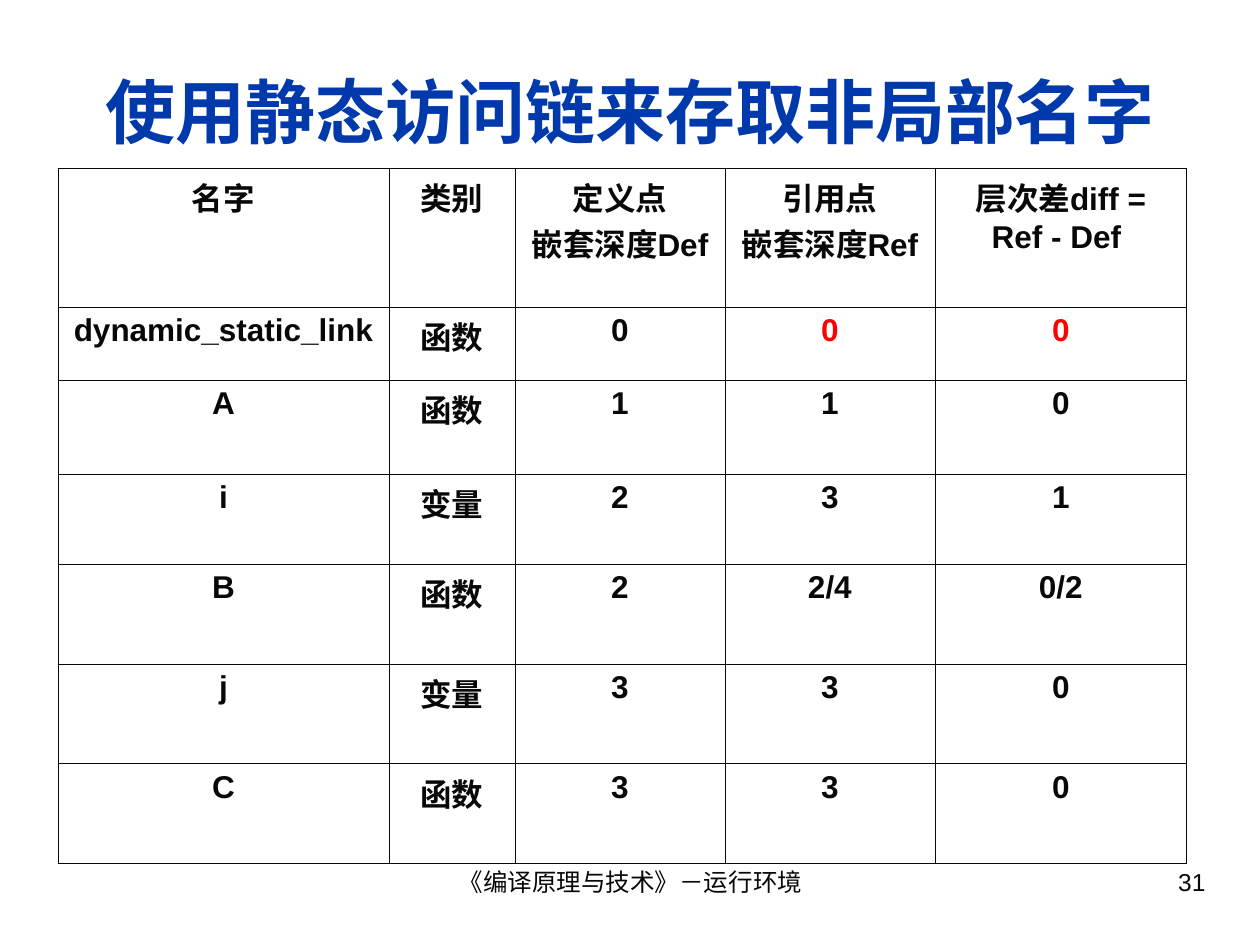
from lxml import etree
from pptx import Presentation, util as u
from pptx.dml.color import RGBColor
from pptx.enum import text
from pptx.oxml.ns import qn

PX = 914400 // 126
BLUE = RGBColor(0x00, 0x39, 0xAC)
INK = RGBColor(0x08, 0x08, 0x08)
RED = RGBColor(0xFF, 0x00, 0x00)
CENTER, RIGHT = text.PP_ALIGN.CENTER, text.PP_ALIGN.RIGHT

COLS = [331, 126, 210, 210, 252]
ROWS = [139, 73, 94, 90, 100, 100, 100]
CELLS = [
    ["名字", "类别", "定义点\n嵌套深度Def", "引用点\n嵌套深度Ref", "层次差diff =\nRef - Def "],
    ["dynamic_static_link", "函数", "0", "0", "0"],
    ["A", "函数", "1", "1", "0"],
    ["i", "变量", "2", "3", "1"],
    ["B", "函数", "2", "2/4", "0/2"],
    ["j", "变量", "3", "3", "0"],
    ["C", "函数", "3", "3", "0"],
]
RED_CELLS = {(1, 3), (1, 4)}


def px(n):
    return u.Emu(n * PX)


def write(tf, content, size, color=INK, bold=False, align=CENTER):
    tf.word_wrap = True
    tf.text = content
    font = {"name": "Arial", "size": u.Pt(size), "bold": bold}
    for p in tf.paragraphs:
        p.alignment = align
        for r in p.runs:
            for key, value in font.items():
                setattr(r.font, key, value)
            r.font.color.rgb = color


def add_text(s, box, content, size, anchor=text.MSO_ANCHOR.TOP, **style):
    tf = s.shapes.add_textbox(*map(px, box)).text_frame
    write(tf, content, size, **style)
    tf.vertical_anchor = anchor


def add_borders(cell):
    tcPr = cell._tc.get_or_add_tcPr()
    for i, side in enumerate(("lnL", "lnR", "lnT", "lnB")):
        ln = etree.Element(qn("a:" + side), w=str(u.Pt(0.45)))
        fill = etree.SubElement(ln, qn("a:solidFill"))
        etree.SubElement(fill, qn("a:srgbClr"), val=str(INK))
        tcPr.insert(i, ln)


def add_grid(s, left, top):
    size = map(px, (left, top, sum(COLS), sum(ROWS)))
    table = s.shapes.add_table(len(ROWS), len(COLS), *size).table
    table.horz_banding = False
    for col, width in zip(table.columns, COLS):
        col.width = px(width)
    for row, height in zip(table.rows, ROWS):
        row.height = px(height)
    for i, values in enumerate(CELLS):
        for j, value in enumerate(values):
            cell = table.cell(i, j)
            color = RED if (i, j) in RED_CELLS else INK
            write(cell.text_frame, value, 18, color, bold=True)
            cell.fill.background()
            add_borders(cell)


def main():
    prs = Presentation()
    prs.slide_width, prs.slide_height = px(1260), px(945)
    s = prs.slides.add_slide(prs.slide_layouts[6])

    # Title
    add_text(s, (42, 32, 1177, 157), "使用静态访问链来存取非局部名字", 40,
             text.MSO_ANCHOR.MIDDLE, color=BLUE, bold=True)

    # Footer and page number
    add_text(s, (431, 861, 399, 65), "《编译原理与技术》－运行环境", 14)
    add_text(s, (903, 861, 315, 65), "31", 14, align=RIGHT)

    # Nesting depth table
    add_grid(s, 58, 168)

    prs.save("out.pptx")


if __name__ == "__main__":
    main()
